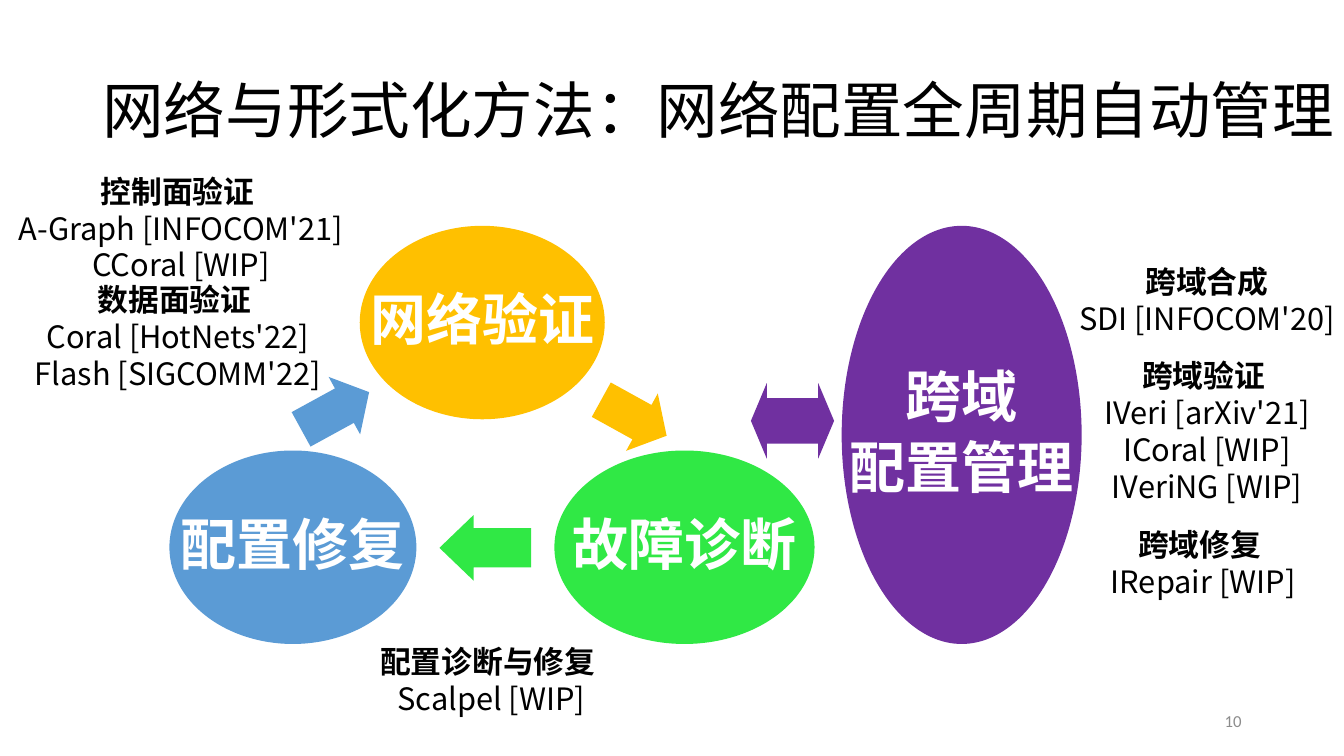
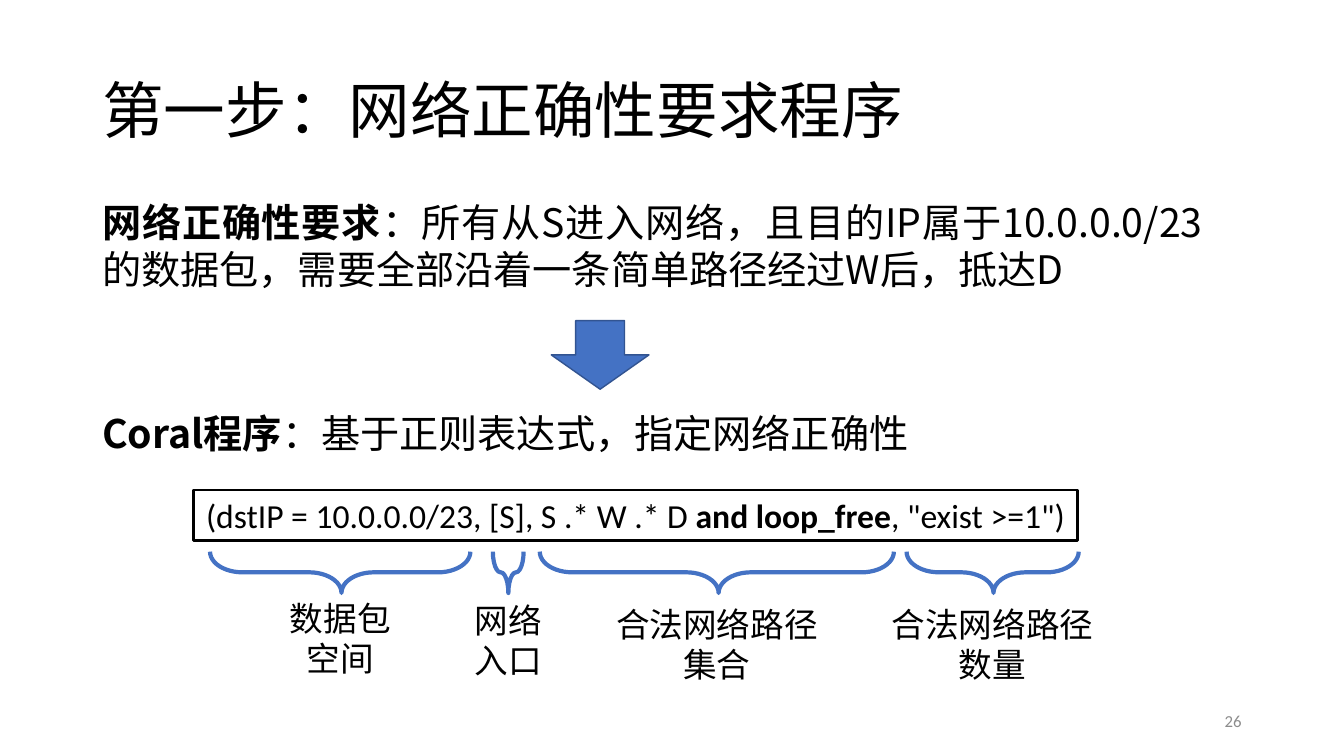
import pptx
import pptx.util
import pptx.dml.color
import pptx.enum.shapes
import pptx.enum.text
import pptx.oxml
import pptx.oxml.ns

Pt = pptx.util.Pt
SHAPE = pptx.enum.shapes.MSO_SHAPE
ALIGN = pptx.enum.text.PP_ALIGN
ANCHOR = pptx.enum.text.MSO_ANCHOR

CJK, LATIN = "Noto Sans CJK SC", "Calibri"
BLACK, WHITE, GREY = "000000", "FFFFFF", "8C8C8C"
AMBER, GREEN, SKY, PURPLE = "FFC000", "30E845", "5B9BD5", "7030A0"
BLUE, DARK_BLUE = "4472C4", "325491"


def rgb(value):
    """Turn a hex string into a colour."""
    return pptx.dml.color.RGBColor.from_string(value)


def apply(target, values):
    """Set every attribute named in a dict of format values."""
    for name, value in values.items():
        setattr(target, name, value)


def write(sp, paragraphs, size, color=BLACK, font=CJK, anchor=ANCHOR.TOP,
          wrap=True, inset=7.2, align=ALIGN.CENTER, spacing=1.0, after=0):
    """Fill a shape with paragraphs, each a list of (text, bold) runs."""
    tf = sp.text_frame
    apply(tf, {"word_wrap": wrap, "vertical_anchor": anchor,
               "margin_left": Pt(inset), "margin_right": Pt(inset),
               "margin_top": Pt(3.6), "margin_bottom": Pt(3.6)})
    for i, runs in enumerate(paragraphs):
        p = tf.add_paragraph() if i else tf.paragraphs[0]
        apply(p, {"alignment": align, "line_spacing": spacing,
                  "space_before": Pt(0), "space_after": Pt(after)})
        for text, bold in runs:
            r = p.add_run()
            r.text = text
            apply(r.font, {"size": Pt(size), "bold": bold, "name": font})
            r.font.color.rgb = rgb(color)
            ea = pptx.oxml.parse_xml(
                f'<a:ea {pptx.oxml.ns.nsdecls("a")} typeface="{font}"/>')
            r.font._element.find(pptx.oxml.ns.qn("a:latin")).addnext(ea)


def text_box(s, box, paragraphs, size, **options):
    """Add a text box at left, top, width, height."""
    write(s.shapes.add_textbox(*map(Pt, box)), paragraphs, size, **options)


def shape(s, kind, box, fill=None, line=None, weight=1, rotation=0, adjust=()):
    """Add a preset shape with flat fill and line."""
    sp = s.shapes.add_shape(kind, *map(Pt, box))
    sp.shadow.inherit = False
    sp.rotation = rotation
    for i, value in enumerate(adjust):
        sp.adjustments[i] = value
    if fill:
        sp.fill.solid()
        sp.fill.fore_color.rgb = rgb(fill)
    else:
        sp.fill.background()
    if line:
        sp.line.color.rgb = rgb(line)
        sp.line.width = Pt(weight)
    else:
        sp.line.fill.background()
    return sp


def add_slide(prs, title, number, title_width=828):
    """Add a blank slide with its title and page number."""
    s = prs.slides.add_slide(prs.slide_layouts[6])
    text_box(s, (66, 28.8, title_width, 104.4), [[(title, False)]], 44,
             anchor=ANCHOR.MIDDLE, align=ALIGN.LEFT, spacing=0.9)
    text_box(s, (678, 500.5, 216, 28.8), [[(str(number), False)]], 12, color=GREY,
             font=LATIN, anchor=ANCHOR.MIDDLE, align=ALIGN.RIGHT)
    return s


def stage(s, box, color, *lines):
    """Add an oval naming one stage of the cycle."""
    sp = shape(s, SHAPE.OVAL, box, color)
    write(sp, [[(line, True)] for line in lines], 40, color=WHITE, inset=0,
          anchor=ANCHOR.MIDDLE, wrap=False, spacing=0.9, after=7.3)


def note(s, left, top, heading, *works, width=252.7):
    """Add a bold heading with the works listed under it."""
    paragraphs = [[(heading, True)]] + [[(work, False)] for work in works]
    text_box(s, (left, top, width, 26.6 * len(paragraphs) + 7.2), paragraphs, 22, inset=0)


def brace_label(s, center, length, top, width, *lines):
    """Add a brace opening upwards and the label centred under it."""
    depth, middle = 29.5, 408.8
    shape(s, SHAPE.RIGHT_BRACE,
          (center - depth / 2, middle - length / 2, depth, length),
          line=BLUE, weight=3, rotation=90, adjust=(0.783, 0.495))
    text_box(s, (center - width / 2, top, width, 65.5),
             [[(line, False)] for line in lines], 24)


def lifecycle_slide(prs):
    """Build the configuration life cycle slide."""
    s = add_slide(prs, "网络与形式化方法：网络配置全周期自动管理", 10, 900.7)
    top, low, height = 161.3, 321.8, 138.2
    stage(s, (257, top, 175, height), AMBER, "网络验证")
    stage(s, (396, low, 185.8, height), GREEN, "故障诊断")
    stage(s, (121, low, 176.4, height), SKY, "配置修复")
    stage(s, (601.2, top, 171.4, low + height - top), PURPLE, "跨域", "配置管理")
    for left, y, width, color, rotation, head in (
            (426.2, 275, 53.3, AMBER, 28.9, 0.43),
            (313.9, 367.9, 65.5, GREEN, 180, 0.52),
            (211.7, 270, 55.4, SKY, 331.3, 0.43)):
        shape(s, SHAPE.RIGHT_ARROW, (left, y, width, 46.8), color,
              rotation=rotation, adjust=(0.6, head))
    shape(s, SHAPE.LEFT_RIGHT_ARROW, (536.4, 273.6, 59.4, 54), PURPLE, adjust=(0.6, 0.21))
    note(s, 0.7, 197.3, "数据面验证 ", "Coral [HotNets'22]", "Flash [SIGCOMM'22]")
    note(s, 2.9, 119.5, "控制面验证 ", "A-Graph [INFOCOM'21]", "CCoral [WIP]")
    note(s, 224.6, 455.8, "配置诊断与修复 ", "Scalpel [WIP]")
    note(s, 735.8, 251.3, "跨域验证 ", "IVeri [arXiv'21]", "ICoral [WIP]", "IVeriNG [WIP]")
    note(s, 733, 372.2, "跨域修复 ", "IRepair [WIP]")
    note(s, 757.4, 184.3, "跨域合成", "SDI [INFOCOM'20]", width=209.5)


def requirement_slide(prs):
    """Build the correctness requirement slide."""
    s = add_slide(prs, "第一步：网络正确性要求程序", 26)
    text_box(s, (66, 138.2, 800, 75), [[
        ("网络正确性要求", True),
        ("：所有从S进入网络，且目的IP属于10.0.0.0/23的数据包，"
         "需要全部沿着一条简单路径经过W后，抵达D", False)]], 28, align=ALIGN.JUSTIFY)
    shape(s, SHAPE.DOWN_ARROW, (393.8, 229, 69.8, 49), BLUE, DARK_BLUE)
    text_box(s, (66, 288.7, 640, 41), [[
        ("Coral程序", True), ("：基于正则表达式，指定网络正确性", False)]],
        28, align=ALIGN.LEFT)
    program = shape(s, SHAPE.RECTANGLE, (138.2, 350, 631.4, 36), line=BLACK, weight=2)
    write(program, [[("(dstIP = 10.0.0.0/23, [S], S .* W .* D ", False),
                     ("and loop_free", True),
                     (', "exist >=1")', False)]], 24, font=LATIN, wrap=False)
    brace_label(s, 243, 186, 423.4, 106, "数据包", "空间")
    brace_label(s, 363, 22, 424.8, 76, "网络", "入口")
    brace_label(s, 512, 253, 427.7, 162, "合法网络路径集合")
    brace_label(s, 709, 123, 427.7, 162, "合法网络路径数量")


def main():
    """Build and save the presentation."""
    prs = pptx.Presentation()
    apply(prs, {"slide_width": Pt(960), "slide_height": Pt(540)})
    lifecycle_slide(prs)
    requirement_slide(prs)
    prs.save("out.pptx")


if __name__ == "__main__":
    main()
